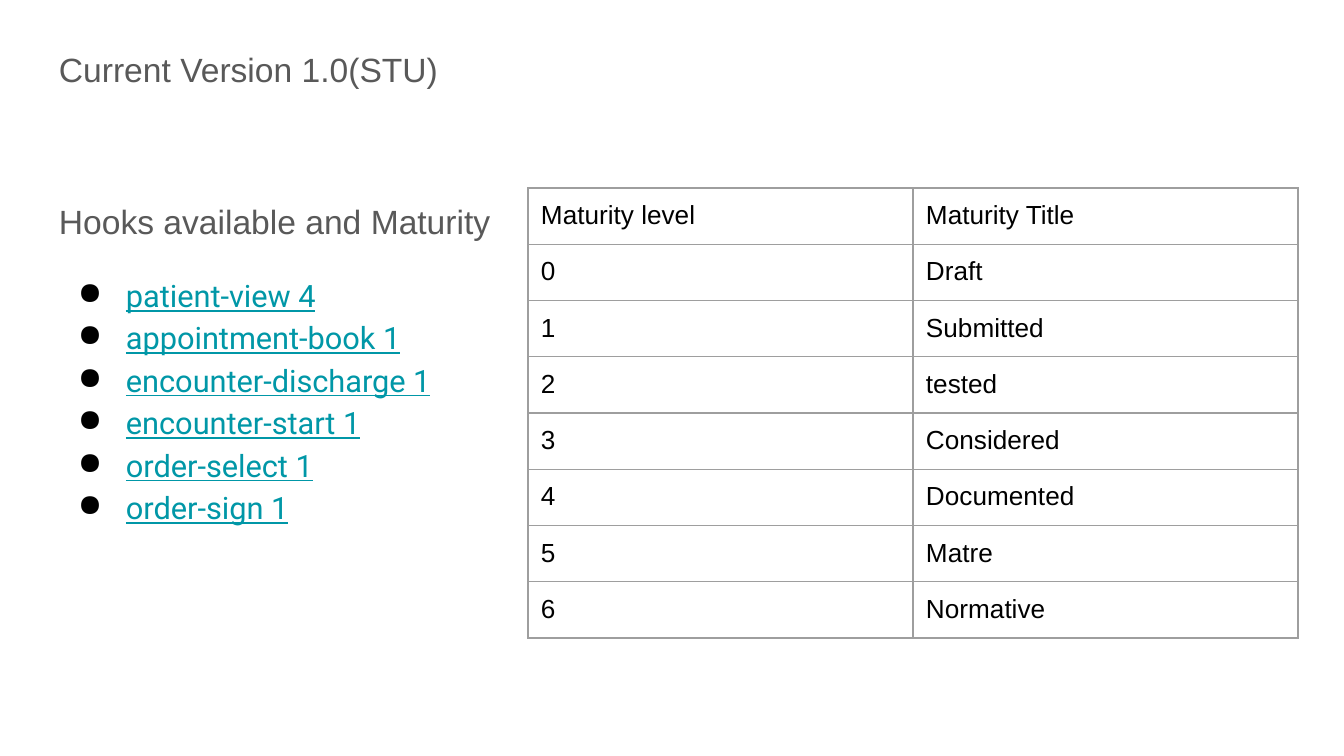
from lxml import etree
from pptx import Presentation
from pptx import util as u
from pptx.dml.color import RGBColor
from pptx.enum import text
from pptx.oxml.ns import qn

TITLE = "Current Version 1.0(STU)"
HOOKS_HEADING = "Hooks available and Maturity"
HOOKS = [
    "patient-view 4",
    "appointment-book 1",
    "encounter-discharge 1",
    "encounter-start 1",
    "order-select 1",
    "order-sign 1",
]
MATURITY = [
    ("Maturity level", "Maturity Title"),
    ("0", "Draft"),
    ("1", "Submitted"),
    ("2", "tested"),
    ("3", "Considered"),
    ("4", "Documented"),
    ("5", "Matre"),
    ("6", "Normative"),
]

GRAY = RGBColor(0x59, 0x59, 0x59)
TEAL = RGBColor(0x00, 0x97, 0xA7)
BLACK = RGBColor(0x00, 0x00, 0x00)
BORDER = RGBColor(0x9E, 0x9E, 0x9E)

PX_PER_INCH = 134.4
INSET = 13
TITLE_BOX = (46, 30, 1252, 72)
HOOKS_BOX = (46, 182, 480, 549)
TABLE_BOX = (528, 188, 770, 450)


def px(length):
    return u.Emu(round(length * u.Inches(1) / PX_PER_INCH))


def set_insets(target):
    """Give a text frame or a table cell the same margin on all sides."""
    target.margin_left = target.margin_right = px(INSET)
    target.margin_top = target.margin_bottom = px(INSET)


def prepare_frame(shape):
    frame = shape.text_frame
    set_insets(frame)
    frame.word_wrap = True
    frame.auto_size = text.MSO_AUTO_SIZE.NONE
    frame.vertical_anchor = text.MSO_ANCHOR.TOP
    return frame


def write(paragraph, content, *, size=18, font="Arial", color=GRAY,
          underline=False, spacing=1.15, before=0):
    paragraph.alignment = text.PP_ALIGN.LEFT
    paragraph.line_spacing = spacing
    paragraph.space_before = u.Pt(before)
    run = paragraph.add_run()
    run.text = content
    run.font.size = u.Pt(size)
    run.font.name = font
    run.font.color.rgb = color
    run.font.underline = underline


def add_bullet(paragraph, color, indent=67, hanging=48):
    properties = paragraph._p.get_or_add_pPr()
    properties.set("marL", str(px(indent)))
    properties.set("indent", str(-px(hanging)))
    bullet_color = etree.SubElement(properties, qn("a:buClr"))
    etree.SubElement(bullet_color, qn("a:srgbClr"), val=str(color))
    etree.SubElement(properties, qn("a:buChar"), char="●")


def set_borders(cell, color, width):
    properties = cell._tc.get_or_add_tcPr()
    for position, side in enumerate(("lnL", "lnR", "lnT", "lnB")):
        line = etree.Element(qn(f"a:{side}"), w=str(u.Pt(width)))
        fill = etree.SubElement(line, qn("a:solidFill"))
        etree.SubElement(fill, qn("a:srgbClr"), val=str(color))
        properties.insert(position, line)


def add_title(slide):
    title = slide.shapes.title
    title.left, title.top, title.width, title.height = map(px, TITLE_BOX)
    write(prepare_frame(title).paragraphs[0], TITLE)


def add_hooks(slide):
    frame = prepare_frame(slide.shapes.add_textbox(*map(px, HOOKS_BOX)))
    write(frame.paragraphs[0], HOOKS_HEADING)
    for index, hook in enumerate(HOOKS):
        paragraph = frame.add_paragraph()
        write(paragraph, hook, size=16.5, font="Roboto", color=TEAL,
              underline=True, before=0 if index else 16)
        add_bullet(paragraph, BLACK)


def add_maturity_table(slide):
    rows, columns = len(MATURITY), len(MATURITY[0])
    table = slide.shapes.add_table(rows, columns, *map(px, TABLE_BOX)).table
    table.first_row = table.horz_banding = False
    for row, values in enumerate(MATURITY):
        for column, value in enumerate(values):
            cell = table.cell(row, column)
            set_insets(cell)
            cell.fill.background()
            set_borders(cell, BORDER, 0.75)
            write(cell.text_frame.paragraphs[0], value,
                  size=14, color=BLACK, spacing=1.0)


def main():
    presentation = Presentation()
    presentation.slide_width, presentation.slide_height = px(1344), px(756)
    slide = presentation.slides.add_slide(presentation.slide_layouts[5])
    add_title(slide)
    add_hooks(slide)
    add_maturity_table(slide)
    presentation.save("out.pptx")


if __name__ == "__main__":
    main()
